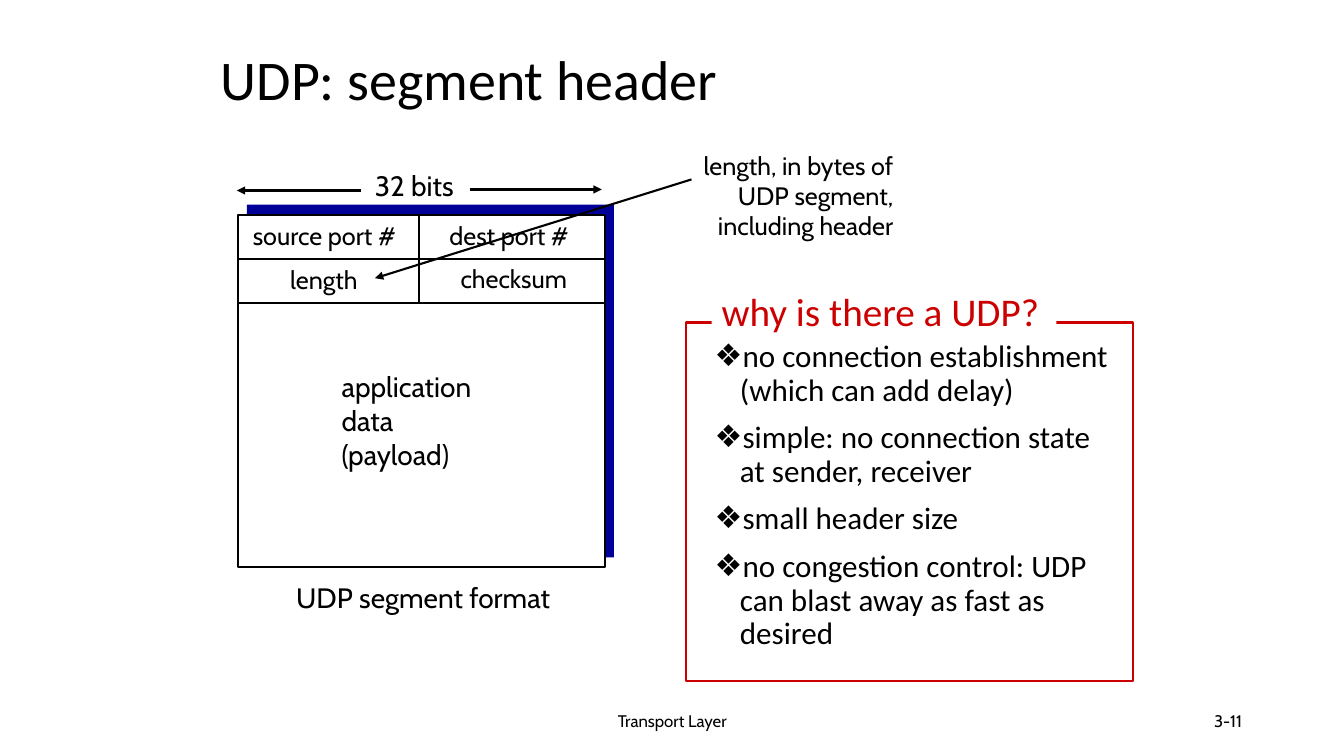
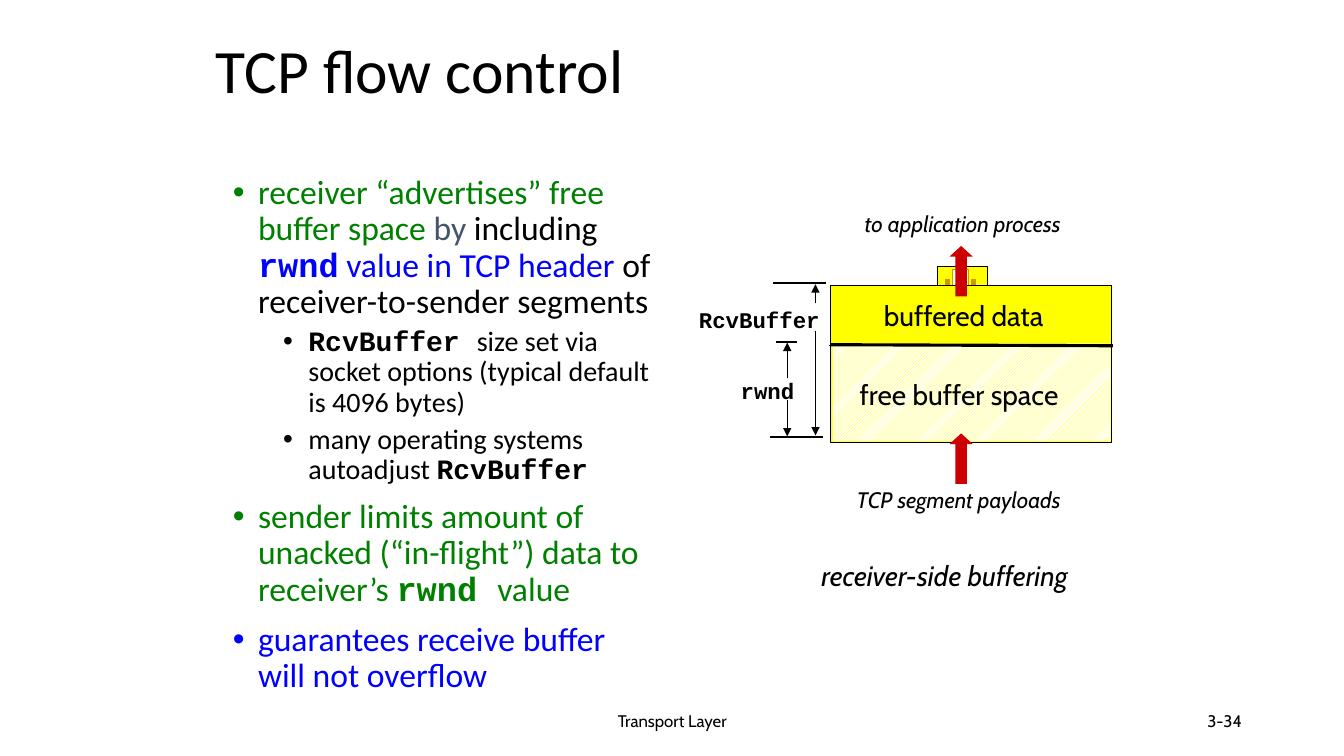
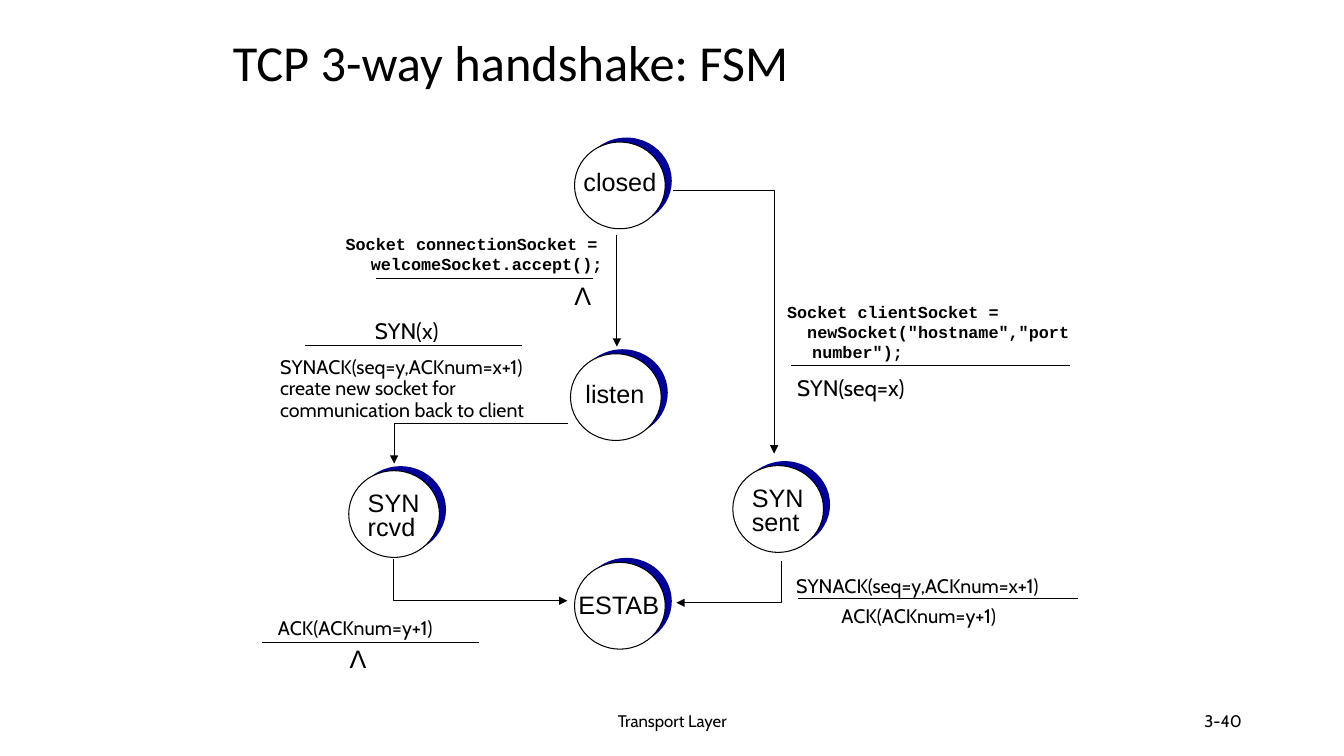
import pptx
import pptx.util
import pptx.dml.color
import pptx.enum.dml
import pptx.enum.shapes
import pptx.enum.text
import pptx.oxml
import pptx.oxml.ns
from lxml import etree

RGB = pptx.dml.color.RGBColor
BLACK = RGB(0x00, 0x00, 0x00)
WHITE = RGB(0xFF, 0xFF, 0xFF)
NAVY = RGB(0x00, 0x00, 0x99)
RED = RGB(0xCC, 0x00, 0x00)
YELLOW = RGB(0xFF, 0xFF, 0x00)
OCHRE = RGB(0xCC, 0x99, 0x00)
GREEN = RGB(0x00, 0x80, 0x00)
BLUE = RGB(0x00, 0x00, 0xFF)
SLATE = RGB(0x44, 0x54, 0x6A)

SHAPE = pptx.enum.shapes.MSO_SHAPE
ALIGN = pptx.enum.text.PP_ALIGN
ANCHOR = pptx.enum.text.MSO_ANCHOR
FIT = pptx.enum.text.MSO_AUTO_SIZE
Pt = pptx.util.Pt

CELL = pptx.util.Inches(0.1)
COLS, ROWS = 133.33, 75
TITLE_ONLY, TITLE_AND_BODY = 5, 1


def grid(*cells):
    return [round(n * CELL) for n in cells]


def put(obj, values):
    for name, value in values.items():
        setattr(obj, name, value)


def sub(parent, tag, **attrs):
    return etree.SubElement(parent, pptx.oxml.ns.qn(tag), attrs)


class Deck:
    plain = {"name": "Cabin", "size": 18, "color": BLACK}
    small = {**plain, "size": 16}
    note = {**plain, "size": 14}
    large = {**plain, "size": 20}
    footer = {**plain, "size": 12}
    caption = {**small, "italic": True}
    state_label = {**plain, "name": "Arial"}
    code = {"name": "Courier New", "size": 12, "color": BLACK, "bold": True}
    heading = {"name": "Calibri", "color": BLACK}

    def __init__(self):
        self.prs = pptx.Presentation()
        put(self.prs, dict(zip(("slide_width", "slide_height"), grid(COLS, ROWS))))
        self.s = None

    def slide(self, title, number, box, size, layout=TITLE_ONLY):
        self.s = self.prs.slides.add_slide(self.prs.slide_layouts[layout])
        self.text(44.2, 69.5, 45, 4, ["Transport Layer"], self.footer,
                  wrap=True, anchor=ANCHOR.MIDDLE, alignment=ALIGN.CENTER)
        self.text(94.2, 69.5, 30, 4, [number], self.footer,
                  wrap=True, anchor=ANCHOR.MIDDLE, alignment=ALIGN.RIGHT)
        sp = self.s.shapes.title
        self.place(sp, box)
        self.fill_text(sp.text_frame, [title], {**self.heading, "size": size},
                       alignment=ALIGN.LEFT, line_spacing=0.9)
        put(sp.text_frame, {"vertical_anchor": ANCHOR.MIDDLE, "auto_size": FIT.NONE})

    def place(self, sp, box):
        put(sp, dict(zip(("left", "top", "width", "height"), grid(*box))))

    def fill_text(self, tf, paras, fmt, **layout):
        for i, runs in enumerate(paras):
            p = tf.paragraphs[0] if i == 0 else tf.add_paragraph()
            put(p, layout)
            for run in [(runs, {})] if isinstance(runs, str) else runs:
                r = p.add_run()
                r.text = run[0]
                values = {**fmt, **run[1]}
                r.font.color.rgb = values.pop("color")
                values["size"] = Pt(values["size"])
                put(r.font, values)

    def text(self, x, y, w, h, paras, fmt, wrap=False, anchor=ANCHOR.TOP,
             fill=None, **layout):
        sp = self.s.shapes.add_textbox(*grid(x, y, w, h))
        tf = sp.text_frame
        put(tf, {"word_wrap": wrap, "vertical_anchor": anchor,
                 "auto_size": FIT.NONE if anchor == ANCHOR.MIDDLE else FIT.SHAPE_TO_FIT_TEXT})
        if fill is not None:
            sp.fill.solid()
            sp.fill.fore_color.rgb = fill
        self.fill_text(tf, paras, fmt, **layout)
        return tf

    def indent(self, p, margin, first):
        pPr = p._p.get_or_add_pPr()
        for name, cells in (("marL", margin), ("indent", first)):
            pPr.set(name, str(grid(cells)[0]))
        return pPr

    def code_text(self, x, y, w, h, lines):
        tf = self.text(x, y, w, h, [line for line, first in lines], self.code, wrap=True)
        for p, (line, first) in zip(tf.paragraphs, lines):
            self.indent(p, 2.5, first)

    def bullets(self, box, items, sizes, mark):
        sp = self.s.placeholders[1]
        self.place(sp, box)
        tf = sp.text_frame
        tf.auto_size = FIT.NONE
        self.fill_text(tf, [runs for level, runs in items],
                       {**self.heading, "size": sizes[0]}, line_spacing=0.9)
        for p, (level, runs) in zip(tf.paragraphs, items):
            put(p, {"level": level, "space_before": Pt(5 if level else 10)})
            for r in p.runs:
                r.font.size = Pt(sizes[level])
            pPr = self.indent(p, 2.5 + 5 * level, -2.5)
            sub(pPr, "a:buFont", typeface="Arial")
            sub(pPr, "a:buChar", char=mark)

    def shape(self, kind, x, y, w, h, fill=None, line=None, width=0.75):
        sp = self.s.shapes.add_shape(kind, *grid(x, y, w, h))
        self.style(sp, fill, line, width)
        return sp

    def style(self, sp, fill, line, width):
        sp.shadow.inherit = False
        if fill is None:
            sp.fill.background()
        else:
            sp.fill.solid()
            sp.fill.fore_color.rgb = fill
        if line is None:
            sp.line.fill.background()
        else:
            sp.line.color.rgb = line
            sp.line.width = Pt(width)

    def arrowhead(self, sp):
        sub(sp._element.spPr.get_or_add_ln(), "a:tailEnd", type="triangle")

    def line(self, x1, y1, x2, y2, width=0.75, arrow=False):
        c = self.s.shapes.add_connector(
            pptx.enum.shapes.MSO_CONNECTOR.STRAIGHT, *grid(x1, y1, x2, y2))
        c.line.color.rgb = BLACK
        c.line.width = Pt(width)
        if arrow:
            self.arrowhead(c)
        sub(c._element.spPr, "a:effectLst")

    def bent_arrow(self, start, *points):
        fb = self.s.shapes.build_freeform(*grid(*start))
        fb.add_line_segments([grid(*pt) for pt in points], close=False)
        sp = fb.convert_to_shape()
        self.style(sp, None, BLACK, 0.75)
        self.arrowhead(sp)

    def up_arrow(self, x, y):
        sp = self.shape(SHAPE.UP_ARROW, x, y, 2.3, 5, RED)
        sp.adjustments[0], sp.adjustments[1] = 0.5, 0.46

    def state(self, x, y, lines, label_w):
        w, h = 9, 8.6
        self.shape(SHAPE.OVAL, x + 0.65, y - 0.45, w, h, NAVY)
        self.shape(SHAPE.OVAL, x, y, w, h, WHITE, BLACK)
        tight = lines[0].isupper()
        label_h = 0.9 + 2.5 * len(lines) if tight else 4
        shift = 0.2 * len(lines) if tight else -0.4
        self.text(x + (w - label_w) / 2 + 0.1, y + (h - label_h) / 2 + shift,
                  label_w, label_h, lines, self.state_label,
                  line_spacing=0.8 if tight else 1.0)


def udp_header(d):
    d.slide("UDP: segment header", "3-11", (20.9, 2.7, 91.2, 10.9), 40, TITLE_AND_BODY)
    left, top, side, row = 23.6, 21.3, 36.4, 4.4
    middle = left + side / 2 - 0.2
    d.shape(SHAPE.RECTANGLE, left + 0.9, top - 1, side, 35, NAVY)
    d.shape(SHAPE.RECTANGLE, left, top, side, 35, WHITE, BLACK, 1.5)
    for i in (1, 2):
        d.line(left, top + i * row, left + side, top + i * row, 1.5)
    d.line(middle, top, middle, top + 2 * row, 1.5)
    for x, y, w, label in ((24.1, 21.4, 17.1, "source port #"), (43.6, 21.4, 14.5, "dest port #"),
                           (27.8, 25.7, 8.9, "length"), (44.7, 25.6, 12.9, "checksum")):
        d.text(x, y, w, 4, [label], d.plain)
    d.text(36.2, 16.2, 10.2, 4.3, ["32 bits"], d.large)
    d.line(46.6, 18.8, 59.7, 18.8, 1.5, True)
    d.line(35.8, 18.9, 23.5, 18.9, 1.5, True)
    d.text(32.9, 36.2, 15.2, 11, ["application", "data", "(payload)"], d.large)
    d.text(28.4, 57.1, 27.6, 4.3, ["UDP segment format"], d.large)
    d.text(63.3, 14.4, 26.3, 10, ["length, in bytes of UDP segment, including header"],
           d.plain, wrap=True, alignment=ALIGN.RIGHT)
    d.line(68.6, 17.8, 37.2, 27.6, 1.5, True)
    reasons = ("no connection establishment (which can add delay)",
               "simple: no connection state at sender, receiver",
               "small header size",
               "no congestion control: UDP can blast away as fast as desired")
    d.bullets((69.9, 33.3, 41.7, 33.3), [(0, reason) for reason in reasons], (22.2,), "❖")
    d.shape(SHAPE.RECTANGLE, 68.1, 32, 44.3, 35.6, None, RED, 1.5)
    d.text(70.6, 28.9, 34.2, 4.7, ["why is there a UDP?"],
           {**d.heading, "size": 28, "color": RED}, fill=WHITE,
           line_spacing=0.8, space_before=Pt(5.6))


def flow_control(d):
    d.slide("TCP flow control", "3-34", (20.4, 1.9, 85, 10.7), 44, TITLE_AND_BODY)
    d.shape(SHAPE.RECTANGLE, 93, 26.4, 5, 2.3, YELLOW, BLACK)
    d.shape(SHAPE.RECTANGLE, 94.5, 26.7, 1.6, 1.7, WHITE, OCHRE)
    for x in (96.4, 93.8):
        d.shape(SHAPE.RECTANGLE, x, 27.7, 0.4, 0.6, OCHRE, OCHRE)
    d.shape(SHAPE.RECTANGLE, 82.4, 28.3, 27.9, 15.6, YELLOW, BLACK)
    d.line(82.2, 34.3, 110.4, 34.3)
    d.up_arrow(94.2, 24.4)
    free = d.shape(SHAPE.RECTANGLE, 82.6, 34.1, 27.6, 9.7)
    free.fill.patterned()
    free.fill.pattern = pptx.enum.dml.MSO_PATTERN.DARK_UPWARD_DIAGONAL
    free.fill.fore_color.rgb = YELLOW
    free.fill.back_color.rgb = WHITE
    d.up_arrow(94.2, 43)
    d.text(86.7, 29.1, 18.6, 4.3, ["buffered data"], d.large)
    d.line(82.4, 34.2, 110.4, 34.3, 2.25)
    d.text(84.3, 37, 22.8, 4.3, ["free buffer space"], d.large)
    label = {**d.code, "size": 16}
    d.text(72.5, 36.9, 7.4, 3.7, ["rwnd"], label)
    for x, y1, y2 in ((78.1, 37.5, 34), (78.1, 39.7, 43.3),
                      (80.9, 30.1, 28.2), (80.9, 32.8, 43.2)):
        d.line(x, y1, x, y2, arrow=True)
    for x1, x2, y in ((76.4, 81.6, 43.4), (77, 79.1, 33.9), (76.7, 81.9, 28.1)):
        d.line(x1, y, x2, y, 1.5)
    d.text(68.3, 29.9, 14, 3.7, ["RcvBuffer"], label, alignment=ALIGN.RIGHT)
    d.text(84, 47.7, 24.3, 3.7, ["TCP segment payloads"], d.caption)
    d.text(84.8, 20.4, 23.3, 3.7, ["to application process"], d.caption)
    mono = {"name": "Courier New", "bold": True}
    green, blue = {"color": GREEN}, {"color": BLUE}
    d.bullets((22.1, 16.9, 44.3, 53.7), [
        (0, [("receiver “advertises” free buffer space ", green),
             ("by ", {"color": SLATE}), ("including ", {}),
             ("rwnd", {**mono, **blue}), (" value in TCP header ", blue),
             ("of receiver-to-sender segments", {})]),
        (1, [("RcvBuffer ", mono),
             ("size set via socket options (typical default is 4096 bytes)", {})]),
        (1, [("many operating systems autoadjust ", {}), ("RcvBuffer", mono)]),
        (0, [("sender limits amount of unacked (“in-flight”) data to receiver’s ", green),
             ("rwnd ", {**mono, **green}), ("value", green)]),
        (0, [("guarantees receive buffer will not overflow", blue)]),
    ], (24, 20), "•")
    d.text(80.5, 54.9, 29.5, 4.3, ["receiver-side buffering"], {**d.large, "italic": True})


def handshake(d):
    d.slide("TCP 3-way handshake: FSM", "3-40", (22.1, 1.8, 58.6, 9.3), 36)
    for x, y, lines, label_w in ((57, 14.1, ["closed"], 9.4), (56.6, 35.1, ["listen"], 8.2),
                                 (34.6, 46.7, ["SYN", "rcvd"], 7.4),
                                 (72.7, 46.2, ["SYN", "sent"], 7.4),
                                 (57, 55.8, ["ESTAB"], 10.4)):
        d.state(x, y, lines, label_w)
    for x, y in ((56, 27.3), (33.7, 63.3)):
        d.text(x, y, 3.7, 4, ["Λ"], d.state_label)
    d.code_text(77.1, 29.4, 31.6, 7.1, [("Socket clientSocket =", -2.5),
                                        ('newSocket("hostname","port number");', -0.5)])
    d.code_text(33.3, 22.7, 28.2, 5,
                [("Socket connectionSocket = welcomeSocket.accept();", -2.5)])
    for x, y, length in ((78.5, 36.3, 27.7), (37.3, 27.6, 21.5), (30.3, 34.3, 21.5),
                         (79.2, 59.4, 27.7), (26, 63.7, 21.5)):
        d.line(x, y, x + length, y)
    d.text(78.1, 36.6, 13.8, 3.7, ["SYN(seq=x)"], d.small)
    d.text(36.2, 31, 8.8, 3.7, ["SYN(x)"], d.small)
    reply = "SYNACK(seq=y,ACKnum=x+1)"
    ack = "ACK(ACKnum=y+1)"
    for x, y, w, h, lines in (
            (26.8, 35, 28.5, 7.1, [reply, "create new socket for", "communication back to client"]),
            (78, 56.7, 28.6, 3.1, [reply]), (82.5, 59.7, 19.3, 3.1, [ack]),
            (26.6, 60.9, 19.3, 3.1, [ack])):
        d.text(x, y, w, h, lines, d.note, line_spacing=0.9)
    d.line(61.2, 23.3, 61.2, 34.4, arrow=True)
    d.bent_arrow((66.8, 18.9), (76.8, 18.9), (76.8, 45))
    d.bent_arrow((56.4, 42), (39.1, 42), (39.1, 46))
    d.bent_arrow((39, 55.5), (39, 59.6), (56.3, 59.6))
    d.bent_arrow((77.5, 55.7), (77.5, 59.8), (67.1, 59.8))


def main():
    d = Deck()
    for build in (udp_header, flow_control, handshake):
        build(d)
    d.prs.save("out.pptx")


if __name__ == "__main__":
    main()
